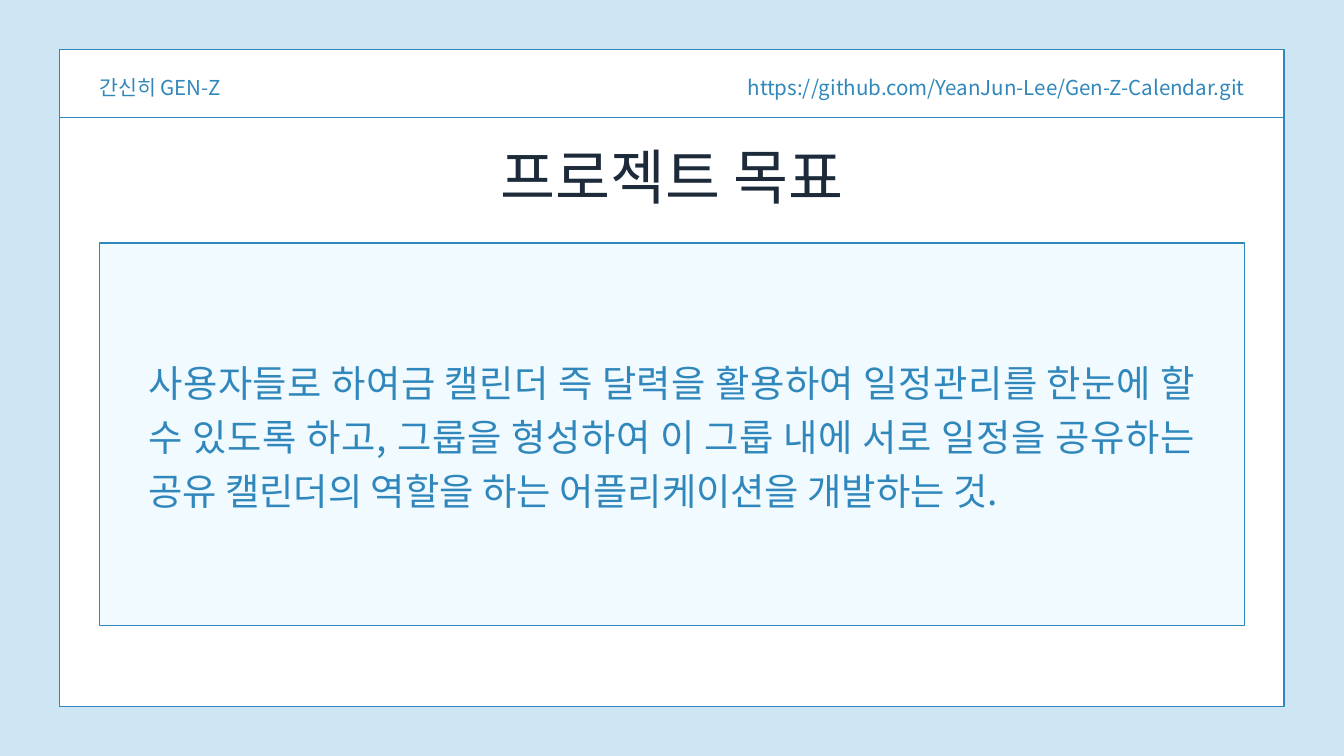
from dataclasses import dataclass

from lxml.etree import SubElement as Sub
from pptx import Presentation
from pptx.dml.color import RGBColor as Rgb
from pptx.enum.shapes import MSO_CONNECTOR as Link, MSO_SHAPE as Shape
from pptx.enum.text import MSO_ANCHOR as Anchor, MSO_AUTO_SIZE as Auto, PP_ALIGN as Align
from pptx.oxml.ns import qn
from pptx.util import Cm, Pt


@dataclass(frozen=True)
class Theme:
    font: str = "Noto Sans CJK KR"
    sky: str = "CEE6F4"
    white: str = "FFFFFF"
    pale: str = "F1FAFF"
    blue: str = "3087BB"
    navy: str = "1D2A3A"
    small: int = 22
    body: int = 40
    title: int = 64
    line: float = 1.5


THEME = Theme()
WIDTH, HEIGHT = 50.8, 28.58
EDGE, INSET, PAD = 2.26, 3.76, 5.61
RULE = 4.45


def paint(fill, color):
    fill.solid()
    fill.fore_color.rgb = Rgb.from_string(color)


def stroke(line):
    line.color.rgb = Rgb.from_string(THEME.blue)
    line.width = Pt(THEME.line)


def add_panel(slide, side, top, height, color):
    panel = slide.shapes.add_shape(
        Shape.RECTANGLE, Cm(side), Cm(top), Cm(WIDTH - 2 * side), Cm(height))
    panel.shadow.inherit = False
    paint(panel.fill, color)
    stroke(panel.line)


def add_rule(slide, side, top):
    rule = slide.shapes.add_connector(
        Link.STRAIGHT, Cm(side), Cm(top), Cm(WIDTH - side), Cm(top))
    stroke(rule.line)
    Sub(rule._element.spPr, qn("a:effectLst"))


def place(shape, left, top, width, height):
    shape.left, shape.top = Cm(left), Cm(top)
    shape.width, shape.height = Cm(width), Cm(height)


def write(shape, text, size=THEME.small, color=THEME.blue, align=Align.LEFT, pitch=30.8):
    frame = shape.text_frame
    frame.margin_left = frame.margin_right = 0
    frame.margin_top = frame.margin_bottom = 0
    frame.auto_size = Auto.NONE
    frame.word_wrap = True
    frame.vertical_anchor = Anchor.TOP
    para = frame.paragraphs[0]
    props = para._p.get_or_add_pPr()
    props.set("marL", "0")
    props.set("indent", "0")
    Sub(props, qn("a:buNone"))
    para.alignment = align
    para.line_spacing = Pt(pitch)
    para.space_before = Pt(0)
    run = para.add_run()
    run.text = text
    run.font.size = Pt(size)
    run.font.name = THEME.font
    run.font.color.rgb = Rgb.from_string(color)
    Sub(run._r.get_or_add_rPr(), qn("a:ea"), typeface=THEME.font)


def add_label(slide, text, left, width, align):
    box = slide.shapes.add_textbox(Cm(left), Cm(2.69), Cm(width), Cm(1.07))
    write(box, text, align=align)


def main():
    deck = Presentation()
    deck.slide_width, deck.slide_height = Cm(WIDTH), Cm(HEIGHT)
    slide = deck.slides.add_slide(deck.slide_layouts[1])
    paint(slide.background.fill, THEME.sky)

    add_panel(slide, EDGE, 1.88, 24.82, THEME.white)
    add_rule(slide, EDGE, RULE)
    add_panel(slide, INSET, 9.19, 14.45, THEME.pale)

    add_label(slide, "간신히 GEN-Z", INSET, 8.18, Align.LEFT)
    wide = 18.8
    add_label(slide, "https://github.com/YeanJun-Lee/Gen-Z-Calendar.git",
              WIDTH - INSET - wide, wide, Align.RIGHT)

    title, body = slide.placeholders
    for shape in (title, body):
        slide.shapes._spTree.append(shape._element)
    span = 15.57
    place(title, (WIDTH - span) / 2, 4.83, span, 3.02)
    write(title, "프로젝트 목표", size=THEME.title, color=THEME.navy,
          align=Align.CENTER, pitch=89.6)
    place(body, PAD, 13.26, WIDTH - 2 * PAD, 6.05)
    write(body, "사용자들로 하여금 캘린더 즉 달력을 활용하여 일정관리를 한눈에 할 수 있도록 하고, "
          "그룹을 형성하여 이 그룹 내에 서로 일정을 공유하는 공유 캘린더의 역할을 하는 "
          "어플리케이션을 개발하는 것.",
          size=THEME.body, align=Align.JUSTIFY, pitch=58)

    deck.save("out.pptx")


if __name__ == "__main__":
    main()
